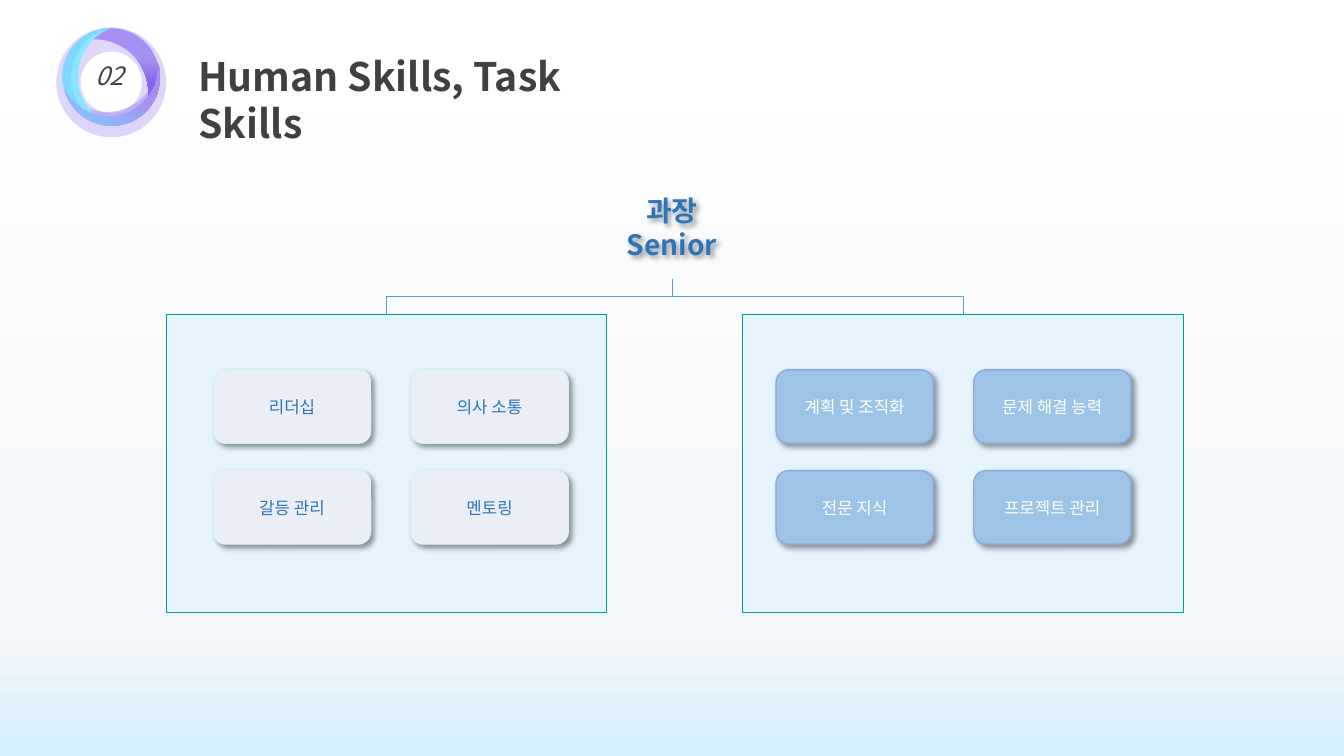
from lxml.etree import SubElement
from pptx import Presentation
from pptx.dml.color import RGBColor
from pptx.enum.shapes import MSO_CONNECTOR, MSO_SHAPE
from pptx.enum.text import MSO_ANCHOR, PP_ALIGN
from pptx.oxml.ns import qn
from pptx.util import Cm, Pt

FONT = "Noto Sans CJK KR"
WHITE = RGBColor(0xFF, 0xFF, 0xFF)
BLACK = RGBColor(0x00, 0x00, 0x00)
MIST = RGBColor(0xF4, 0xF7, 0xFA)
SKY = RGBColor(0xD5, 0xF0, 0xFF)
CHARCOAL = RGBColor(0x40, 0x40, 0x40)
BLUE = RGBColor(0x2E, 0x75, 0xB6)
PANEL_FILL = RGBColor(0xE5, 0xF4, 0xFC)
TEAL = RGBColor(0x01, 0x9B, 0x8F)
HUMAN_FILL = RGBColor(0xEA, 0xEF, 0xF7)
HUMAN_LINE = RGBColor(0xD8, 0xF1, 0xFF)
TASK_FILL = RGBColor(0x9D, 0xC3, 0xE6)
TASK_LINE = RGBColor(0x8F, 0xAA, 0xDC)
LINK_BLUE = RGBColor(0x5B, 0x9B, 0xD5)
LILAC = RGBColor(0xA7, 0x8E, 0xF1)
VIOLET = RGBColor(0x7E, 0x58, 0xEA)
CYAN = RGBColor(0x87, 0xE7, 0xFF)
AZURE = RGBColor(0x81, 0xD5, 0xFF)


def add_colour(parent, colour, opacity=100):
    """Append a colour element with its opacity in percent."""
    node = SubElement(parent, qn("a:srgbClr"), val=str(colour))
    if opacity < 100:
        SubElement(node, qn("a:alpha"), val=str(opacity * 1000))


def paint_gradient(fill, owner, stops, angle=None):
    """Fill with a linear gradient, or one towards the lower right corner."""
    fill.gradient()
    gradient = owner.find(".//" + qn("a:gradFill"))
    for child in list(gradient):
        gradient.remove(child)
    stop_list = SubElement(gradient, qn("a:gsLst"))
    for position, colour in stops:
        stop = SubElement(stop_list, qn("a:gs"), pos=str(position * 1000))
        add_colour(stop, colour)
    if angle is None:
        route = SubElement(gradient, qn("a:path"), path="rect")
        SubElement(route, qn("a:fillToRect"), l="100000", t="100000")
    else:
        SubElement(gradient, qn("a:lin"), ang=str(angle * 60000), scaled="0")


def add_box(page, kind, left, top, width, height, fill=None, line=None):
    """Add a shadowless preset shape, measured in centimetres."""
    box = page.shapes.add_shape(kind, Cm(left), Cm(top), Cm(width), Cm(height))
    box.shadow.inherit = False
    if fill is None:
        box.fill.background()
    else:
        box.fill.solid()
        box.fill.fore_color.rgb = fill
    if line is None:
        box.line.fill.background()
    else:
        box.line.color.rgb = line
        box.line.width = Pt(1)
    return box


def cast_shadow(box):
    """Give a shape a soft shadow to the lower right."""
    effects = box._element.spPr.find(qn("a:effectLst"))
    shadow = SubElement(effects, qn("a:outerShdw"), blurRad=str(Pt(4)), dist=str(Pt(3)),
                        dir=str(45 * 60000), algn="tl", rotWithShape="0")
    add_colour(shadow, BLACK, 40)


def write(box, text, size, colour, bold=False, italic=False, align=PP_ALIGN.LEFT):
    """Write text into a shape and format every run."""
    box.text_frame.text = text
    for para in box.text_frame.paragraphs:
        para.alignment = align
        for span in para.runs:
            span.font.size = Pt(size)
            span.font.bold = bold
            span.font.italic = italic
            span.font.color.rgb = colour
            span.font.name = FONT
            SubElement(span.font._element, qn("a:ea"), typeface=FONT)


def add_label(page, text, left, top, width, height, size, wrap, **style):
    """Add a plain text box."""
    box = page.shapes.add_textbox(Cm(left), Cm(top), Cm(width), Cm(height))
    box.text_frame.word_wrap = wrap
    write(box, text, size, CHARCOAL, **style)


def add_moon(page, left, top, bulge, turn=0, fill=None, opacity=100):
    """Add one crescent of the number ring."""
    moon = add_box(page, MSO_SHAPE.MOON, left, top, 1.22, 2.44, fill)
    moon.adjustments[0] = bulge
    moon.rotation = turn
    if opacity < 100:
        set_opacity(moon, opacity)
    return moon


def set_opacity(box, opacity):
    """Make the solid fill of a shape translucent."""
    solid = box._element.spPr.find(qn("a:solidFill"))
    colour = solid[0]
    SubElement(colour, qn("a:alpha"), val=str(opacity * 1000))


def add_number_ring(page):
    """Draw the ring of crescents around the section number."""
    ring = add_box(page, MSO_SHAPE.DONUT, 1.42, 0.69, 2.77, 2.77, LILAC)
    ring.adjustments[0] = 0.22
    set_opacity(ring, 36)
    add_moon(page, 2.36, 1.32, 0.3, 255, LILAC, 54)
    upper = add_moon(page, 2.62, 0.28, 0.37, 135)
    paint_gradient(upper.fill, upper._element, [(43, VIOLET), (100, LILAC)])
    add_moon(page, 1.57, 0.71, 0.32, fill=CYAN)
    add_moon(page, 1.57, 0.71, 0.18, fill=AZURE)
    lower = add_moon(page, 2.36, 1.32, 0.2, 255)
    paint_gradient(lower.fill, lower._element, [(0, AZURE), (66, LILAC)], 45)
    add_label(page, "02", 2.16, 1.4, 1.22, 1.02, 18, False, italic=True)


def add_cards(page, left, skills, fill, line, colour):
    """Lay out skill cards in two columns."""
    for index, skill in enumerate(skills):
        row, column = divmod(index, 2)
        card = add_box(page, MSO_SHAPE.ROUNDED_RECTANGLE, left + column * 4.98,
                       9.32 + row * 2.54, 3.96, 1.85, fill, line)
        cast_shadow(card)
        card.text_frame.vertical_anchor = MSO_ANCHOR.MIDDLE
        write(card, skill, 12, colour, align=PP_ALIGN.CENTER)


def link_down(page, parent, child):
    """Join the parent's bottom to the child's top with an elbow."""
    start_x, start_y = parent.left + parent.width // 2, parent.top + parent.height
    end_x, end_y = child.left + child.width // 2, child.top
    link = page.shapes.add_connector(MSO_CONNECTOR.ELBOW, start_x, start_y, end_x, end_y)
    link.begin_connect(parent, 2)
    link.end_connect(child, 0)
    drop, reach = end_y - start_y, abs(end_x - start_x)
    link.left = (start_x + end_x - drop) // 2
    link.top = (start_y + end_y - reach) // 2
    link.width, link.height = drop, reach
    rightward = end_x > start_x
    frame = link._element.spPr.find(qn("a:xfrm"))
    frame.set("rot", str((270 if rightward else 90) * 60000))
    frame.set("flipH", "1" if rightward else "0")
    frame.set("flipV", "0")
    link.line.color.rgb = LINK_BLUE
    link.line.width = Pt(0.5)
    SubElement(link._element.spPr, qn("a:effectLst"))


def main():
    """Build the skills slide."""
    deck = Presentation()
    deck.slide_width, deck.slide_height = Cm(33.87), Cm(19.05)
    page = deck.slides.add_slide(deck.slide_layouts[6])
    paint_gradient(page.background.fill, page._element,
                   [(0, WHITE), (74, MIST), (83, MIST), (100, SKY)], 90)

    panels = [add_box(page, MSO_SHAPE.RECTANGLE, left, 7.92, 11.1, 7.52, PANEL_FILL, TEAL)
              for left in (4.19, 18.72)]
    add_label(page, "Human Skills, Task Skills", 4.75, 1.19, 12.17, 1.45, 28, True, bold=True)
    add_number_ring(page)

    senior = add_box(page, MSO_SHAPE.ROUNDED_RECTANGLE, 14.33, 4.42, 5.21, 2.62)
    cast_shadow(senior)
    senior.text_frame.vertical_anchor = MSO_ANCHOR.MIDDLE
    write(senior, "과장\nSenior", 20, BLUE, bold=True, align=PP_ALIGN.CENTER)

    add_cards(page, 5.38, ["리더십", "의사 소통", "갈등 관리", "멘토링"],
              HUMAN_FILL, HUMAN_LINE, BLUE)
    add_cards(page, 19.56, ["계획 및 조직화", "문제 해결 능력", "전문 지식", "프로젝트 관리"],
              TASK_FILL, TASK_LINE, WHITE)
    for panel in panels:
        link_down(page, senior, panel)
    deck.save("out.pptx")


if __name__ == "__main__":
    main()
